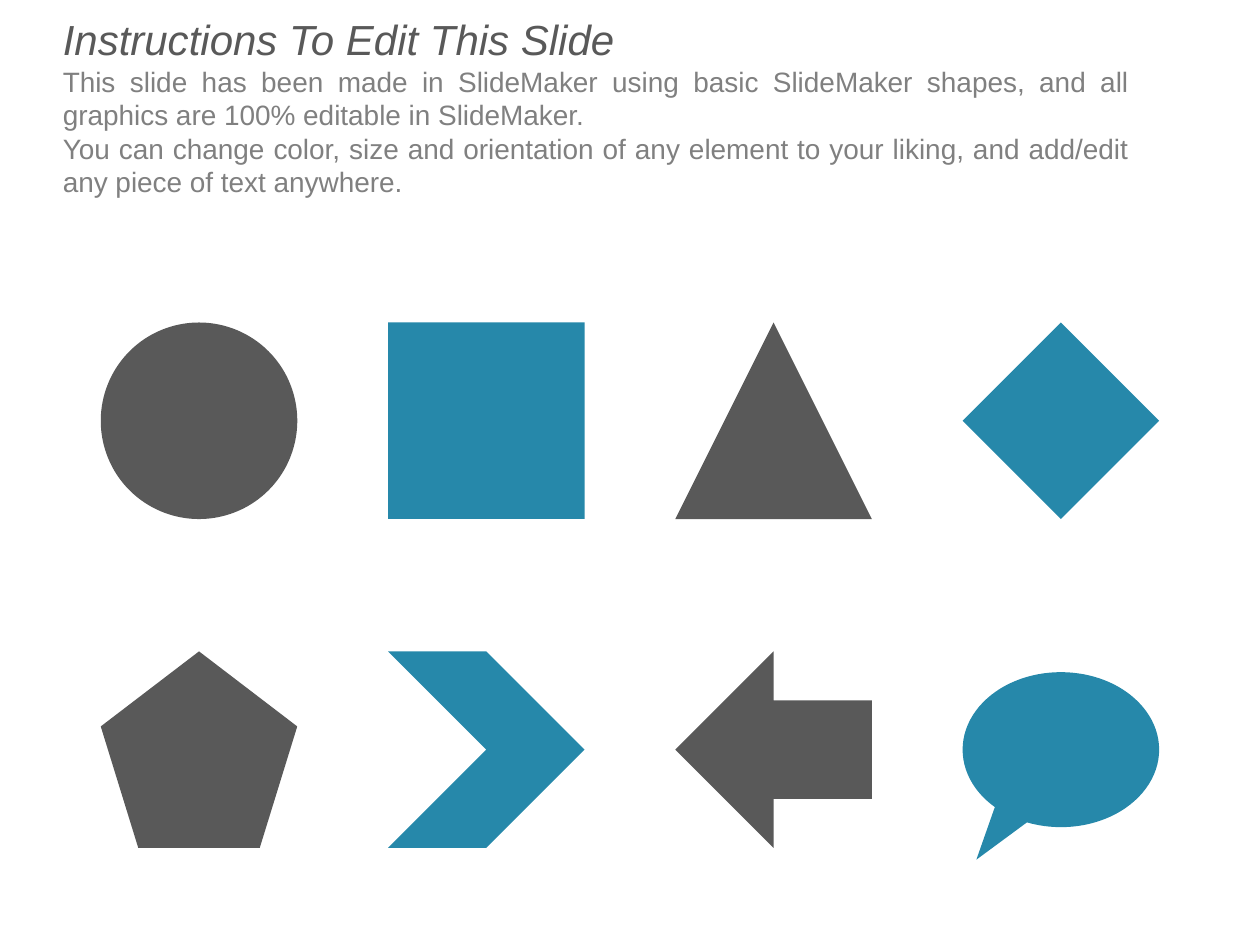
from dataclasses import dataclass

from pptx import Presentation
from pptx import util as u
from pptx.dml.color import RGBColor
from pptx.enum import shapes, text

GRAY = RGBColor(0x59, 0x59, 0x59)
BLUE = RGBColor(0x26, 0x88, 0xAA)
SOFT_GRAY = RGBColor(0x80, 0x80, 0x80)
KIND = shapes.MSO_SHAPE

# Grid of sample shapes, in inches
LEFT, TOP = 0.8, 2.56
COLUMN_STEP, ROW_STEP = 2.28, 2.61
SIZE = 1.56
COLUMNS = 4


@dataclass
class Sample:
    kind: KIND
    height: float = SIZE
    adjustments: tuple[float, ...] = ()


@dataclass
class Line:
    wording: str
    font: dict
    align: text.PP_ALIGN


TITLE = {"name": "Arial", "size": u.Pt(24), "italic": True}
BODY = {"name": "Arial", "size": u.Pt(16), "italic": False}

LINES = [
    Line("Instructions To Edit This Slide", TITLE, text.PP_ALIGN.LEFT),
    Line("This slide has been made in SlideMaker using basic SlideMaker shapes, "
         "and all graphics are 100% editable in SlideMaker.",
         BODY, text.PP_ALIGN.JUSTIFY),
    Line("You can change color, size and orientation of any element to your "
         "liking, and add/edit any piece of text anywhere.",
         BODY, text.PP_ALIGN.JUSTIFY),
]

SAMPLES = [
    Sample(KIND.OVAL),
    Sample(KIND.RECTANGLE),
    Sample(KIND.ISOSCELES_TRIANGLE),
    Sample(KIND.DIAMOND),
    Sample(KIND.REGULAR_PENTAGON),
    Sample(KIND.CHEVRON),
    Sample(KIND.LEFT_ARROW),
    Sample(KIND.OVAL_CALLOUT, 1.23, (-0.43, 0.71)),
]


def add_instructions(page, lines: list[Line]) -> None:
    box = page.shapes.add_textbox(*map(u.Inches, (0.4, 0.06, 8.66, 1.58)))
    frame = box.text_frame
    frame.word_wrap = True
    frame.auto_size = text.MSO_AUTO_SIZE.SHAPE_TO_FIT_TEXT
    for index, line in enumerate(lines):
        para = frame.add_paragraph() if index else frame.paragraphs[0]
        para.alignment = line.align
        span = para.add_run()
        span.text = line.wording
        for name, value in line.font.items():
            setattr(span.font, name, value)
        span.font.color.rgb = SOFT_GRAY if index else GRAY


def add_sample(group, sample: Sample, index: int) -> None:
    row, column = divmod(index, COLUMNS)
    left = LEFT + column * COLUMN_STEP
    # Lower shapes are centred in their cell
    top = TOP + row * ROW_STEP + (SIZE - sample.height) / 2
    shape = group.shapes.add_shape(
        sample.kind, *map(u.Inches, (left, top, SIZE, sample.height)))
    for position, value in enumerate(sample.adjustments):
        shape.adjustments[position] = value
    shape.shadow.inherit = False
    shape.fill.solid()
    shape.fill.fore_color.rgb = BLUE if column % 2 else GRAY
    shape.line.fill.background()


deck = Presentation()
deck.slide_width, deck.slide_height = u.Inches(10), u.Inches(7.5)
page = deck.slides.add_slide(deck.slide_layouts[6])

# Heading and instructions
add_instructions(page, LINES)

# Two rows of editable shapes
group = page.shapes.add_group_shape()
for index, sample in enumerate(SAMPLES):
    add_sample(group, sample, index)

deck.save("out.pptx")
